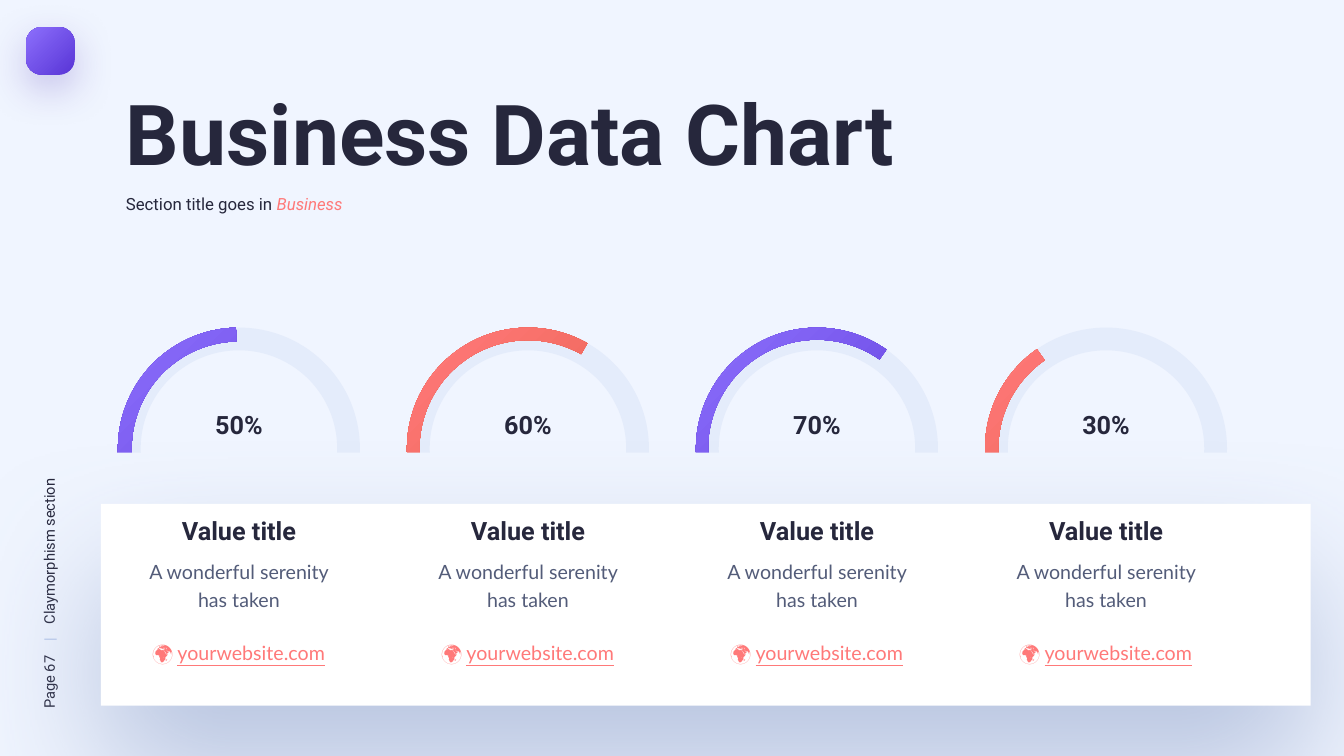
"""Build the Business Data Chart slide: four half-ring gauges above a card of values."""
import lxml.etree
import pptx
import pptx.dml.color
import pptx.enum.shapes
import pptx.enum.text
import pptx.oxml.ns
import pptx.util

TITLE = "Business Data Chart"
SUBTITLE = ("Section title goes in ", "Business")
SIDE = ("Page 67", "\t|", "\tClaymorphism section")
SIDE_TABS = (0.67, 0.84)
COLUMNS = [
    dict(percent="50%", tone="violet", start=172.6, end=268.6, band=0.057),
    dict(percent="60%", tone="coral", start=176.2, end=299.4, band=0.052),
    dict(percent="70%", tone="violet", start=174.2, end=305.06, band=0.05),
    dict(percent="30%", tone="coral", start=169.4, end=235.2, band=0.055),
]
VALUE = dict(title="Value title", body="A wonderful serenity has taken",
             icon="🌍 ", site="yourwebsite.com")

THEME = dict(
    page="F0F5FF", ink="26273C", body="535C79", accent="FF7979", rule="B3C5EA",
    track="E4ECFB", card="FFFFFF", badge_shadow="3F21AB", card_shadow="93A4CB",
    violet=("8A6CFA", "5B38D8"), coral=("FF7979", "E45B44"),
    head_font="Roboto", body_font="Lato",
    title=60, heading=18, text=14, subtitle=12, side=10.5,
)
WIDTH, HEIGHT = 13.33, 7.5
FIRST_CENTRE, PITCH = 2.37, 8.6 / 3
GAUGE, GAUGE_TOP, COVER_TOP = 2.4, 3.25, 4.49
CARD_START = (0.75, 5.16)
CARD_CURVES = [
    ((0.75, 4.92), (0.94, 4.72), (1.18, 4.71)),
    ((5.38, 4.61), (7.93, 4.62), (12.15, 4.71)),
    ((12.39, 4.72), (12.58, 4.92), (12.58, 5.16)),
    ((12.58, 5.16), (12.58, 6.53), (12.58, 6.53)),
    ((12.58, 6.77), (12.39, 6.96), (12.15, 6.97)),
    ((7.94, 7.07), (5.39, 7.07), (1.18, 6.97)),
    ((0.94, 6.96), (0.75, 6.77), (0.75, 6.53)),
]
CURVE_STEPS = 24

Inches = pptx.util.Inches
Pt = pptx.util.Pt
MSO = pptx.enum.shapes.MSO_SHAPE
ALIGN = pptx.enum.text.PP_ALIGN


def rgb(value):
    return pptx.dml.color.RGBColor.from_string(value)


def sub(parent, tag, **attrs):
    return lxml.etree.SubElement(parent, pptx.oxml.ns.qn(tag),
                                 {k: str(v) for k, v in attrs.items()})


def paint(sp, fill):
    sp.shadow.inherit = False
    sp.line.fill.background()
    if isinstance(fill, str):
        sp.fill.solid()
        sp.fill.fore_color.rgb = rgb(fill)
        return sp
    sp.fill.gradient()
    for stop, color, place in zip(sp.fill.gradient_stops, fill, (0.05, 0.95)):
        stop.color.rgb = rgb(color)
        stop.position = place
    grad = sp._element.spPr.find(pptx.oxml.ns.qn("a:gradFill"))
    grad.remove(grad.find(pptx.oxml.ns.qn("a:lin")))
    radial = sub(grad, "a:path", path="circle")
    sub(radial, "a:fillToRect", r=100000, b=100000)
    return sp


def add_shape(slide, kind, x, y, w, h, fill):
    sp = slide.shapes.add_shape(kind, Inches(x), Inches(y), Inches(w), Inches(h))
    return paint(sp, fill)


def cast_shadow(sp, color, alpha, blur, dist):
    effects = sp._element.spPr.find(pptx.oxml.ns.qn("a:effectLst"))
    outer = sub(effects, "a:outerShdw", blurRad=Pt(blur), dist=Pt(dist),
                dir=90 * 60000, algn="t", rotWithShape=0)
    sub(sub(outer, "a:srgbClr", val=color), "a:alpha", val=alpha * 1000)


def add_text(slide, text, x, y, w, h, size, color="ink", font="head_font",
             bold=False, align=ALIGN.LEFT, spacing=None, rotation=0, tabs=()):
    sp = slide.shapes.add_textbox(Inches(x), Inches(y), Inches(w), Inches(h))
    sp.rotation = rotation
    tf = sp.text_frame
    tf.word_wrap = True
    p = tf.paragraphs[0]
    p.alignment = align
    if spacing:
        p.line_spacing = spacing
    if tabs:
        stops = sub(p._p.get_or_add_pPr(), "a:tabLst")
        for stop in tabs:
            sub(stops, "a:tab", pos=Inches(stop), algn="l")
    for words, style in ([(text, {})] if isinstance(text, str) else text):
        r = p.add_run()
        r.text = words
        r.font.size = Pt(THEME[size])
        r.font.name = THEME[font]
        r.font.bold = bold
        r.font.italic = style.get("italic", False)
        r.font.underline = style.get("underline", False)
        r.font.color.rgb = rgb(THEME[style.get("color", color)])
    return sp


def add_gauge(slide, centre, column):
    box = (centre - GAUGE / 2, GAUGE_TOP, GAUGE, GAUGE)
    ring = add_shape(slide, MSO.DONUT, *box, THEME["track"])
    ring.adjustments[0] = 0.094
    arc = add_shape(slide, MSO.BLOCK_ARC, *box, THEME[column["tone"]])
    arc.rotation = 90
    arc._element.spPr.find(pptx.oxml.ns.qn("a:xfrm")).set("flipH", "1")
    arc.adjustments[0] = (270 - column["end"]) % 360 * 0.6
    arc.adjustments[1] = (270 - column["start"]) % 360 * 0.6
    arc.adjustments[2] = column["band"]


def add_card(slide):
    points, start = [], CARD_START
    for a, b, end in CARD_CURVES:
        for step in range(1, CURVE_STEPS + 1):
            t = step / CURVE_STEPS
            weights = ((1 - t) ** 3, 3 * t * (1 - t) ** 2, 3 * t * t * (1 - t), t ** 3)
            points.append(tuple(sum(k * q[axis] for k, q in zip(weights, (start, a, b, end)))
                                for axis in (0, 1)))
        start = end
    builder = slide.shapes.build_freeform(*CARD_START, scale=Inches(1))
    builder.add_line_segments(points, close=True)
    card = paint(builder.convert_to_shape(), THEME["card"])
    cast_shadow(card, THEME["card_shadow"], 60, 100, 49)


def add_values(slide, centre, column):
    def centred(text, y, w, h, size, **style):
        add_text(slide, text, centre - w / 2, y, w, h, size, align=ALIGN.CENTER, **style)

    centred(column["percent"], 4.01, 1.26, 0.4, "heading", bold=True)
    centred(VALUE["title"], 5.06, 2.29, 0.4, "heading", bold=True)
    centred(VALUE["body"], 5.46, 2.29, 0.64, "text", color="body",
            font="body_font", spacing=1.2)
    centred([(VALUE["icon"], {}), (VALUE["site"], dict(underline=True))],
            6.26, 2.4, 0.36, "text", color="accent", font="body_font", spacing=1.2)


def main():
    prs = pptx.Presentation()
    prs.slide_width, prs.slide_height = Inches(WIDTH), Inches(HEIGHT)
    slide = prs.slides.add_slide(prs.slide_layouts[6])
    slide.background.fill.solid()
    slide.background.fill.fore_color.rgb = rgb(THEME["page"])

    badge = add_shape(slide, MSO.ROUNDED_RECTANGLE, 0.26, 0.27, 0.48, 0.47, THEME["violet"])
    badge.adjustments[0] = 0.32
    cast_shadow(badge, THEME["badge_shadow"], 25, 30, 10)

    centres = [FIRST_CENTRE + i * PITCH for i in range(len(COLUMNS))]
    for centre, column in zip(centres, COLUMNS):
        add_gauge(slide, centre, column)
    add_shape(slide, MSO.RECTANGLE, 0, COVER_TOP, WIDTH, HEIGHT - COVER_TOP, THEME["page"])

    add_text(slide, TITLE, 1.15, 0.76, 10.65, 1.11, "title", bold=True)
    add_text(slide, [(SUBTITLE[0], {}), (SUBTITLE[1], dict(color="accent", italic=True))],
             1.15, 1.87, 3.56, 0.3, "subtitle")
    add_text(slide, list(zip(SIDE, ({}, dict(color="rule"), {}))),
             -1.11, 5.38, 3.21, 0.29, "side", rotation=270, tabs=SIDE_TABS)
    add_card(slide)
    for centre, column in zip(centres, COLUMNS):
        add_values(slide, centre, column)
    prs.save("out.pptx")


if __name__ == "__main__":
    main()
